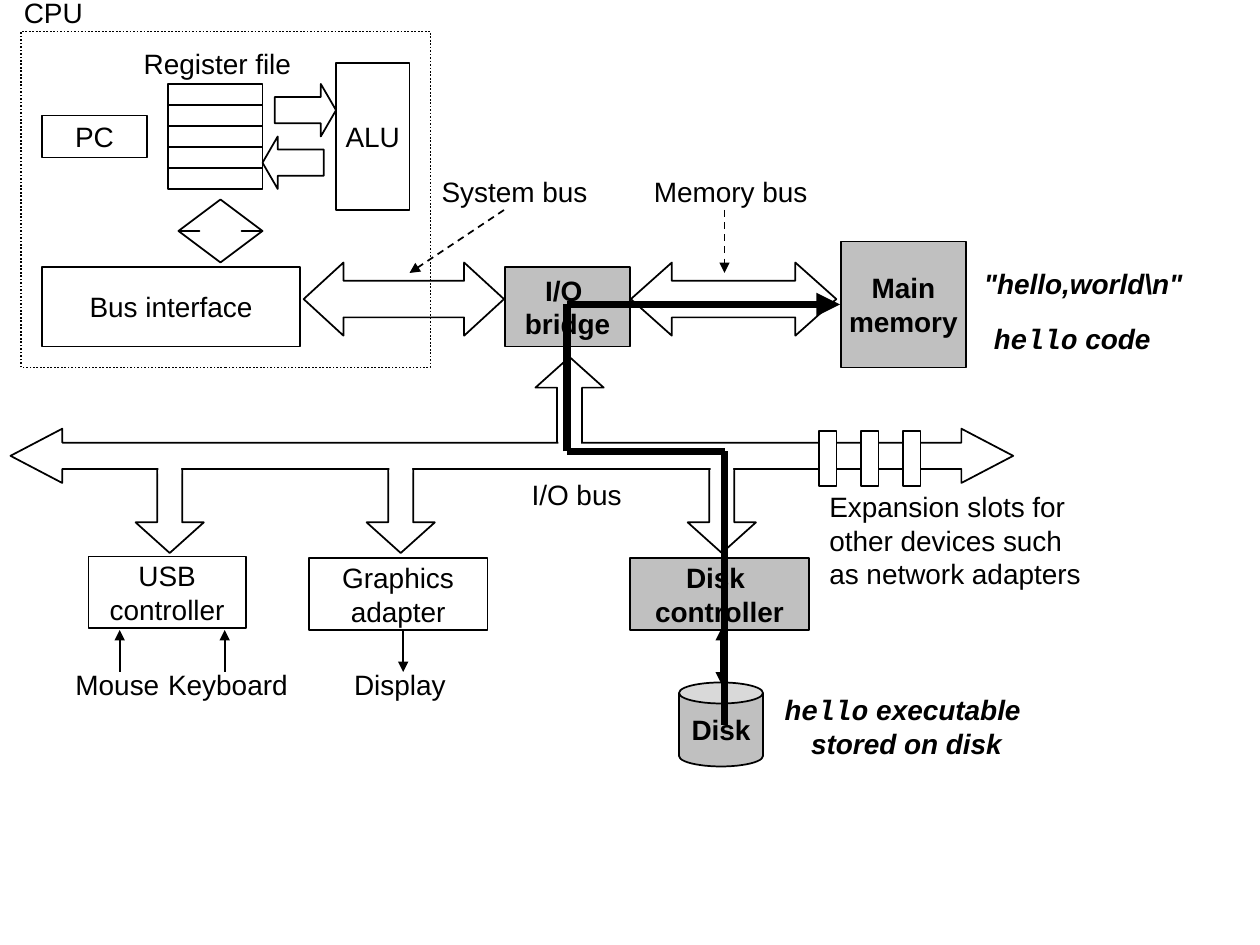
import pptx
import pptx.util
import pptx.dml.color
import pptx.enum.dml
import pptx.enum.shapes
import pptx.enum.text
import pptx.oxml.ns
import lxml.etree

Pt = pptx.util.Pt
SHAPE = pptx.enum.shapes.MSO_SHAPE
DASH = pptx.enum.dml.MSO_LINE
ALIGN = pptx.enum.text.PP_ALIGN
COLORS = {"ink": "000000", "paper": "FFFFFF", "active": "C0C0C0"}
BOLD = {"bold": True}
NOTE = {"bold": True, "italic": True}
CODE = {"name": "Courier New"}
LABEL_HEIGHT = 26.5


def color(name):
    """Return the named colour."""
    return pptx.dml.color.RGBColor.from_string(COLORS[name])


def write(shape, lines, font=None, align=ALIGN.CENTER):
    """Write lines, each a string or a list of (text, font values) runs."""
    frame = shape.text_frame
    frame.word_wrap = False
    frame.vertical_anchor = pptx.enum.text.MSO_ANCHOR.MIDDLE
    for index, line in enumerate(lines):
        paragraph = frame.paragraphs[0] if index == 0 else frame.add_paragraph()
        paragraph.alignment = align
        for text, extra in [(line, {})] if isinstance(line, str) else line:
            run = paragraph.add_run()
            run.text = text
            run.font.color.rgb = color("ink")
            values = {"name": "Arial", "size": Pt(16), **(font or {}), **extra}
            for key, value in values.items():
                setattr(run.font, key, value)


def add_shape(slide, kind, box, fill=None, outline=True, dash=None, adjust=(), lines=(), font=None):
    """Add a preset shape with an optional fill, outline and text."""
    shape = slide.shapes.add_shape(kind, *map(Pt, box))
    shape.shadow.inherit = False
    if fill:
        shape.fill.solid()
        shape.fill.fore_color.rgb = color(fill)
    else:
        shape.fill.background()
    if outline:
        shape.line.color.rgb = color("ink")
        shape.line.width = Pt(1)
        if dash:
            shape.line.dash_style = dash
    else:
        shape.line.fill.background()
    for index, value in enumerate(adjust):
        shape.adjustments[index] = value
    if lines:
        write(shape, lines, font)


def add_label(slide, box, lines, font=None, align=ALIGN.CENTER):
    """Add a text box."""
    write(slide.shapes.add_textbox(*map(Pt, box)), lines, font, align)


def add_line(slide, start, end, width=1, dash=None, ends=()):
    """Add a straight line with arrowheads at the listed ends."""
    connector = slide.shapes.add_connector(
        pptx.enum.shapes.MSO_CONNECTOR.STRAIGHT, *map(Pt, start + end))
    connector.line.color.rgb = color("ink")
    connector.line.width = Pt(width)
    if dash:
        connector.line.dash_style = dash
    outline = connector.line._get_or_add_ln()
    for name in ends:
        lxml.etree.SubElement(outline, pptx.oxml.ns.qn("a:" + name), type="triangle")
    lxml.etree.SubElement(connector._element.spPr, pptx.oxml.ns.qn("a:effectLst"))


def draw_cpu(slide, left, top, width, height):
    """Draw the processor with its registers, ALU and bus interface."""
    for row in range(5):
        add_shape(slide, SHAPE.RECTANGLE, (left + 84, top + 30 + 12 * row, 54, 12))
    for kind, x, y in ((SHAPE.RIGHT_ARROW, 145, 30), (SHAPE.LEFT_ARROW, 138, 60)):
        add_shape(slide, kind, (left + x, top + y, 35, 30), adjust=(0.5, 0.29))
    add_shape(slide, SHAPE.UP_DOWN_ARROW, (left + 90, top + 96, 48, 36), adjust=(0.2, 0.5))
    for text, x, y, w, h in (("ALU", 180, 18, 42, 84), ("PC", 12, 48, 60, 24),
                             ("Bus interface", 12, 134.5, 147.5, 45.5)):
        add_shape(slide, SHAPE.RECTANGLE, (left + x, top + y, w, h), lines=[text])
    add_shape(slide, SHAPE.RECTANGLE, (left, top, width, height), dash=DASH.ROUND_DOT)
    for text, x, y, w in (("Register file", 63, 5, 98.5), ("CPU", -5.5, -24, 48)):
        add_label(slide, (left + x, top + y, w, LABEL_HEIGHT), [text])


def draw_memory(slide, left, top):
    """Draw the system bus, bridge, memory bus and main memory."""
    add_shape(slide, SHAPE.RECTANGLE, (left + 306.5, top + 42, 71.5, 72), "active",
              lines=["Main", "memory"], font=BOLD)
    for x, width, head in ((186.5, 117.4, 0.56), (-0.5, 114.5, 0.545)):
        add_shape(slide, SHAPE.LEFT_RIGHT_ARROW, (left + x, top + 54, width, 41.8),
                  adjust=(0.5, head))
    add_shape(slide, SHAPE.RECTANGLE, (left + 114.7, top + 56.6, 71.3, 45.4), "active",
              lines=["I/O ", "bridge"], font=BOLD)
    for text, x, width, start, end in (("System bus", 71, 98, 114, 60),
                                       ("Memory bus", 192, 103, 240, 240)):
        add_label(slide, (left + x, top, width, LABEL_HEIGHT), [text])
        add_line(slide, (left + start, top + 24), (left + end, top + 60),
                 dash=DASH.DASH, ends=("tailEnd",))
    for line, x, y, width in (([("hello", CODE), (" code", {})], 386.5, 84, 104.4),
                              ('"hello,world\\n"', 380.5, 52.5, 129)):
        add_label(slide, (left + x, top + y, width, LABEL_HEIGHT), [line], NOTE)


def draw_io_bus(slide, left, top, width, height):
    """Draw the I/O bus, its branches and the expansion slots."""
    branches = ((SHAPE.UP_ARROW, 300, -41, 7), (SHAPE.DOWN_ARROW, 71.5, 17, 13.5),
                (SHAPE.DOWN_ARROW, 203.5, 17, 13), (SHAPE.DOWN_ARROW, 387, 17, 12))
    for kind, x, y, joint in branches:
        add_shape(slide, kind, (left + x, top + y, 39, 54), adjust=(0.367, 0.449))
    add_shape(slide, SHAPE.LEFT_RIGHT_ARROW, (left, top, width, height), "paper",
              adjust=(0.486, 0.955))
    for kind, x, y, joint in branches:
        add_shape(slide, SHAPE.RECTANGLE, (left + x + 13, top + joint, 13, 12.2),
                  "paper", outline=False)
    for slot in range(3):
        add_shape(slide, SHAPE.RECTANGLE, (left + 462 + 24 * slot, top + 1.2, 10, 31.7), "paper")
    add_label(slide, (left + 290.5, top + 24.5, 66, LABEL_HEIGHT), ["I/O bus"])
    add_label(slide, (left + 460.8, top + 31.5, 158.4, 64),
              ["Expansion slots for", "other devices such", "as network adapters"],
              align=ALIGN.LEFT)


def draw_devices(slide, left, top):
    """Draw the controllers and the devices attached to them."""
    for lines, x, y, width, fill, font in (
            (["USB", "controller"], 14.5, 0, 90, None, None),
            (["Graphics", "adapter"], 140.4, 1, 102.2, None, None),
            (["Disk ", "controller"], 324, 1, 102.2, "active", BOLD)):
        add_shape(slide, SHAPE.RECTANGLE, (left + x, top + y, width, 41), fill,
                  lines=lines, font=font)
    for x, length, ends in ((32.4, 24, ("headEnd",)), (92.4, 24, ("headEnd",)),
                            (194.4, 24, ("tailEnd",)), (375.8, 30, ("headEnd", "tailEnd"))):
        add_line(slide, (left + x, top + 42), (left + x, top + 42 + length), ends=ends)
    for text, x, width in (("Mouse", -0.2, 62.6), ("Keyboard", 52.8, 82.8), ("Display", 159, 67)):
        add_label(slide, (left + x, top + 60, width, LABEL_HEIGHT), [text])
    add_shape(slide, SHAPE.CAN, (left + 352, top + 72, 48, 48), "active",
              adjust=(0.25,), lines=["Disk"], font=BOLD)
    add_label(slide, (left + 405, top + 74, 154, 46),
              [[("hello", CODE), (" executable ", {})], "stored on disk"], NOTE)


def draw_route(slide, left, top):
    """Draw the thick path from the disk to main memory."""
    for start, end, ends in (((0, 84), (0, 0), ()), ((90, 240), (90, 84), ()),
                             ((90, 84), (0, 84), ()), ((0, 0), (156, 0), ("tailEnd",))):
        add_line(slide, (left + start[0], top + start[1]), (left + end[0], top + end[1]),
                 width=4.5, ends=ends)


presentation = pptx.Presentation()
presentation.slide_width, presentation.slide_height = Pt(720), Pt(540)
slide = presentation.slides.add_slide(presentation.slide_layouts[6])
draw_memory(slide, 174, 96)
draw_cpu(slide, 12, 18, 234, 192)
draw_io_bus(slide, 6, 245, 573, 31)
draw_devices(slide, 36, 318)
draw_route(slide, 324, 174)
presentation.save("out.pptx")
